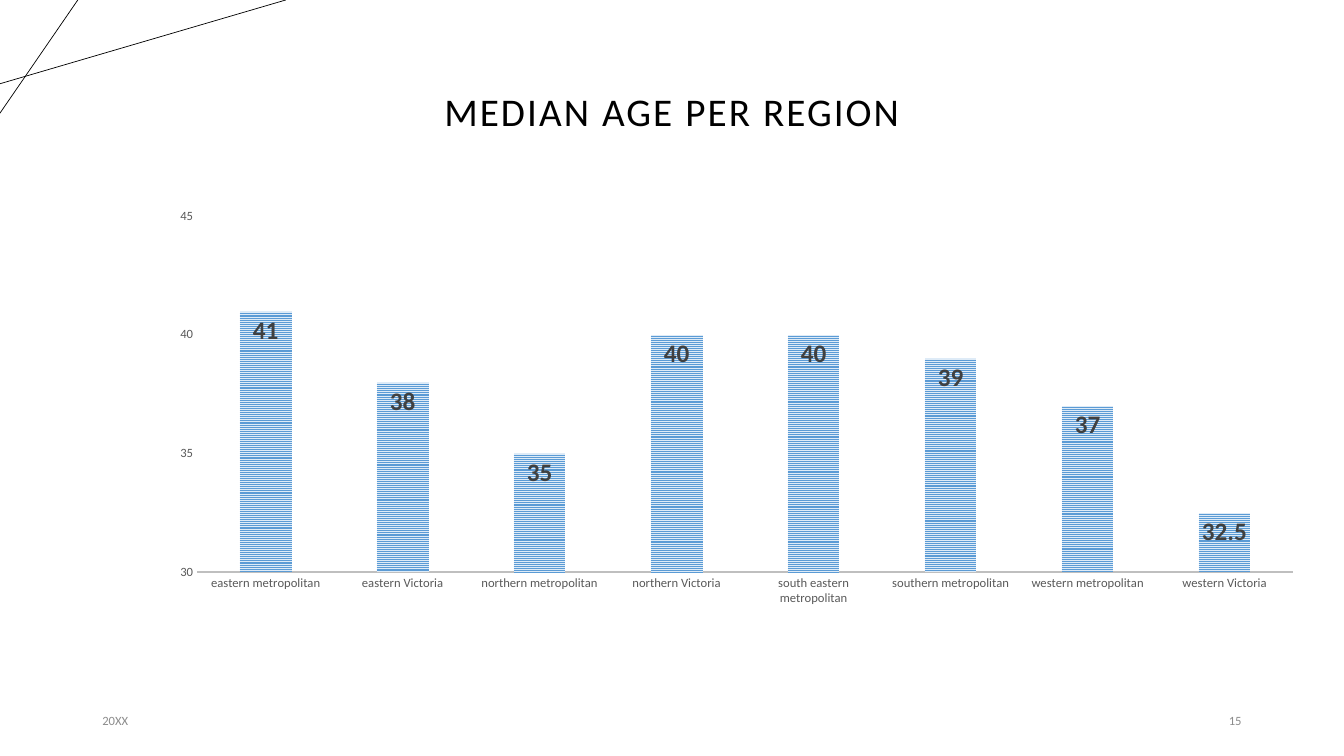
from pptx import Presentation
from pptx.chart.data import CategoryChartData
from pptx.dml.color import RGBColor
from pptx.enum.chart import XL_CHART_TYPE, XL_LABEL_POSITION, XL_TICK_MARK
from pptx.enum.dml import MSO_PATTERN
from pptx.enum.shapes import MSO_CONNECTOR
from pptx.enum.text import MSO_ANCHOR, PP_ALIGN
from pptx.oxml.ns import qn
from pptx.util import Cm, Pt
from lxml.etree import SubElement

FONT = "Calibri"
MEDIAN_AGES = {
    "eastern metropolitan": 41,
    "eastern Victoria": 38,
    "northern metropolitan": 35,
    "northern Victoria": 40,
    "south eastern metropolitan": 40,
    "southern metropolitan": 39,
    "western metropolitan": 37,
    "western Victoria": 32.5,
}


def color(value):
    return RGBColor.from_string(value)


def set_values(target, values):
    for name, value in values.items():
        setattr(target, name, value)


def style_font(font, size, shade, bold=False):
    set_values(font, {"name": FONT, "size": Pt(size), "bold": bold})
    font.color.rgb = color(shade)


def add_corner_line(page, start, end):
    line = page.shapes.add_connector(
        MSO_CONNECTOR.STRAIGHT, *[Cm(value) for value in start + end])
    line.line.width = Pt(0.5)
    line.line.color.rgb = color("000000")
    SubElement(line._element.spPr, qn("a:effectLst"))


def write_text(box, text, size, shade, align):
    frame = box.text_frame
    set_values(frame, {"word_wrap": True, "vertical_anchor": MSO_ANCHOR.MIDDLE})
    para = frame.paragraphs[0]
    para.alignment = align
    span = para.add_run()
    span.text = text
    style_font(span.font, size, shade)
    return para, span


def add_title(page, text):
    title = page.shapes.title
    set_values(title, {"left": Cm(2.33), "top": Cm(1.02),
                       "width": Cm(29.21), "height": Cm(3.68)})
    para, span = write_text(title, text, 28, "000000", PP_ALIGN.CENTER)
    para.line_spacing = 0.9
    span._r.get_or_add_rPr().set("spc", "150")


def add_footer(page, left, text, align):
    box = page.shapes.add_textbox(Cm(left), Cm(17.65), Cm(7.62), Cm(1.02))
    para, span = write_text(box, text, 9, "8C8C8C", align)
    para.space_after = Pt(6)


def style_axes(chart):
    for axis in (chart.category_axis, chart.value_axis):
        set_values(axis, {"major_tick_mark": XL_TICK_MARK.NONE,
                          "minor_tick_mark": XL_TICK_MARK.NONE,
                          "has_major_gridlines": False})
        style_font(axis.tick_labels.font, 9, "595959")
    set_values(chart.value_axis, {"minimum_scale": 30, "maximum_scale": 45,
                                  "major_unit": 5})
    chart.value_axis.format.line.fill.background()
    baseline = chart.category_axis.format.line
    baseline.width = Pt(1.5)
    baseline.color.rgb = color("BFBFBF")


def style_columns(plot):
    set_values(plot, {"gap_width": 164, "overlap": -22,
                      "vary_by_categories": False, "has_data_labels": True})
    fill = plot.series[0].format.fill
    fill.patterned()
    fill.pattern = MSO_PATTERN.NARROW_HORIZONTAL
    fill.fore_color.rgb = color("5B9BD5")
    fill.back_color.rgb = color("DEEBF7")
    set_values(plot.data_labels, {"show_value": True,
                                  "position": XL_LABEL_POSITION.INSIDE_END})
    style_font(plot.data_labels.font, 18, "404040", bold=True)


def add_age_chart(page):
    data = CategoryChartData()
    data.categories = list(MEDIAN_AGES)
    data.add_series("Series 1", list(MEDIAN_AGES.values()))
    chart = page.shapes.add_chart(
        XL_CHART_TYPE.COLUMN_CLUSTERED,
        Cm(3.96), Cm(5.05), Cm(29.21), Cm(10.41), data).chart
    set_values(chart, {"has_title": False, "has_legend": False})
    style_font(chart.font, 10, "000000")
    style_axes(chart)
    style_columns(chart.plots[0])


def main():
    deck = Presentation()
    set_values(deck, {"slide_width": Cm(33.87), "slide_height": Cm(19.05)})
    page = deck.slides.add_slide(deck.slide_layouts.get_by_name("Title Only"))
    add_corner_line(page, (0, 2.11), (7.2, 0))
    add_corner_line(page, (1.96, 0), (0, 2.85))
    add_footer(page, 2.33, "20XX", PP_ALIGN.LEFT)
    add_footer(page, 23.92, "15", PP_ALIGN.RIGHT)
    add_age_chart(page)
    add_title(page, "MEDIAN AGE PER REGION")
    deck.save("out.pptx")


if __name__ == "__main__":
    main()
